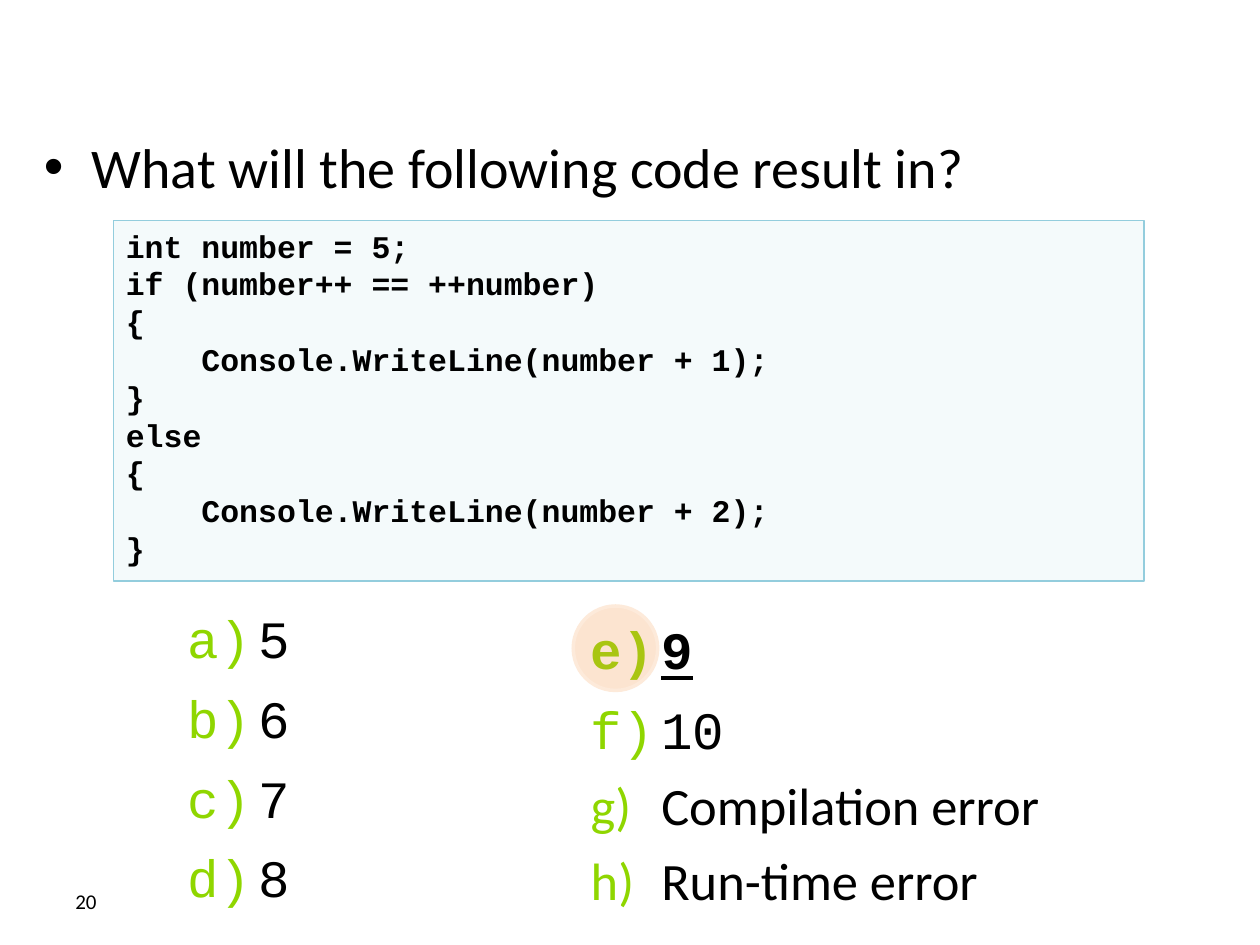
from pptx import Presentation
from pptx.util import Inches, Pt
from pptx.dml.color import RGBColor
from pptx.enum.shapes import MSO_SHAPE
from pptx.enum.text import MSO_ANCHOR, PP_ALIGN
from pptx.oxml.ns import qn
from lxml.etree import SubElement

WIDE, HIGH = 10, 7.5
HUES = {"ink": "000000", "code": "B7DEE8", "edge": "93CDDD",
        "mark": "8FD600", "spot": "F79646", "ring": "FDEADA"}
SANS, MONO = "Calibri", "Courier New"
CODE = """int number = 5;
if (number++ == ++number)
{
    Console.WriteLine(number + 1);
}
else
{
    Console.WriteLine(number + 2);
}"""


def tint(name):
    return RGBColor.from_string(HUES[name])


def place(box):
    return [Inches(v) for v in box]


def bullet(para, left, hang, tag, hue=None, **attrs):
    props = para._p.get_or_add_pPr()
    props.set("marL", str(Inches(left)))
    props.set("indent", str(-Inches(hang)))
    if hue:
        color = SubElement(props, qn("a:buClr"))
        SubElement(color, qn("a:srgbClr"), val=HUES[hue])
    else:
        SubElement(props, qn("a:buFont"), typeface="Arial")
    SubElement(props, qn(tag), **attrs)


def write(para, text, size=18, face=SANS, bold=False, line=False):
    para.alignment = PP_ALIGN.LEFT
    run = para.add_run()
    run.text = text
    font = run.font
    font.size, font.name = Pt(size), face
    font.bold, font.underline = bold, line
    font.color.rgb = tint("ink")


def frame(slide, box):
    body = slide.shapes.add_textbox(*place(box)).text_frame
    body.word_wrap = True
    return body


def panel(slide, box, kind, fill, alpha, edge, width):
    shape = slide.shapes.add_shape(kind, *place(box))
    shape.shadow.inherit = False
    shape.fill.solid()
    shape.fill.fore_color.rgb = tint(fill)
    color = shape.fill._xPr.find(qn("a:solidFill"))[0]
    SubElement(color, qn("a:alpha"), val=str(alpha * 1000))
    shape.line.color.rgb = tint(edge)
    shape.line.width = Pt(width)
    return shape


def ask(slide, box):
    para = frame(slide, box).paragraphs[0]
    bullet(para, 0.38, 0.38, "a:buChar", char="•")
    write(para, "What will the following code result in?", size=32)


def number(slide, box):
    body = frame(slide, box)
    body.vertical_anchor = MSO_ANCHOR.MIDDLE
    write(body.paragraphs[0], "20", size=12)


def code(slide, box):
    shape = panel(slide, box, MSO_SHAPE.RECTANGLE, "code", 15, "edge", 1)
    body = shape.text_frame
    body.vertical_anchor = MSO_ANCHOR.TOP
    for i, text in enumerate(CODE.split("\n")):
        para = body.add_paragraph() if i else body.paragraphs[0]
        write(para, text, face=MONO, bold=True)


def choices(slide, box, items, start=1, right=None):
    body = frame(slide, box)
    for i, text in enumerate(items):
        para = body.add_paragraph() if i else body.paragraphs[0]
        para.level = 1
        bullet(para, 0.95, 0.56, "a:buAutoNum", "mark",
               type="alphaLcParenR", startAt=str(start))
        para.line_spacing = 1.2
        face = MONO if text.isdigit() else SANS
        if i and face == MONO:
            para.space_before = Pt(2.4)
        hit = text == right
        write(para, text, size=30, face=face, bold=hit, line=hit)


def spot(slide, box):
    panel(slide, box, MSO_SHAPE.OVAL, "spot", 25, "ring", 2)


def main():
    deck = Presentation()
    deck.slide_width, deck.slide_height = Inches(WIDE), Inches(HIGH)
    slide = deck.slides.add_slide(deck.slide_layouts[6])
    ask(slide, (0.25, 1, 9.5, 1.75))
    number(slide, (0.5, 6.95, 2.33, 0.4))
    code(slide, (0.9, 1.75, 8.18, 2.86))
    choices(slide, (4.2, 4.75, 5.13, 2.52),
            ["9", "10", "Compilation error", "Run-time error"],
            start=5, right="9")
    choices(slide, (1, 4.66, 2.58, 2.5), ["5", "6", "7", "8"])
    spot(slide, (4.55, 4.81, 0.67, 0.67))
    deck.save("out.pptx")


if __name__ == "__main__":
    main()
